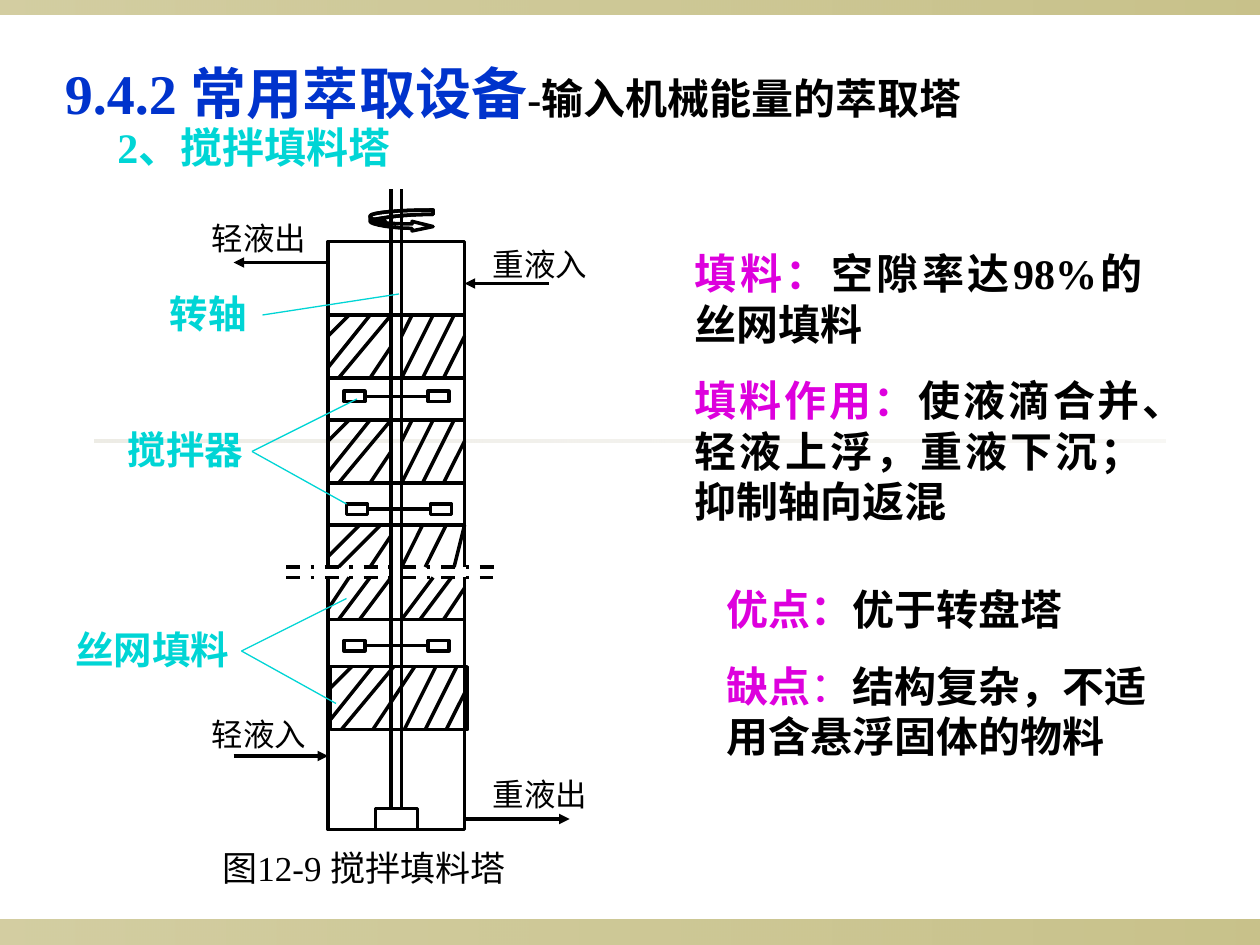
from pptx import Presentation
from pptx import util as u
from pptx.dml.color import RGBColor
from pptx.enum import dml, shapes, text
from pptx.oxml.ns import qn
from lxml import etree

Pt = u.Pt
color = RGBColor.from_string
BLACK, CYAN, MAGENTA, BLUE = "000000", "00D5D5", "DD00DD", "0033CC"

presentation = Presentation()
presentation.slide_width, presentation.slide_height = Pt(720), Pt(540)
slide = presentation.slides.add_slide(presentation.slide_layouts[6])


def add_line(x1, y1, x2, y2, line_color=BLACK, width=2, arrow=False):
    line = slide.shapes.add_connector(
        shapes.MSO_CONNECTOR.STRAIGHT, Pt(x1), Pt(y1), Pt(x2), Pt(y2))
    line.line.color.rgb = color(line_color)
    line.line.width = Pt(width)
    if arrow:
        etree.SubElement(line.line._get_or_add_ln(), qn("a:tailEnd"), type="triangle")
    etree.SubElement(line._element.spPr, qn("a:effectLst"))
    return line


def add_text(left, top, width, height, paragraphs, align=None):
    """Each paragraph is a list of (wording, size, color, bold) runs."""
    box = slide.shapes.add_textbox(Pt(left), Pt(top), Pt(width), Pt(height))
    frame = box.text_frame
    frame.word_wrap = True
    for index, runs in enumerate(paragraphs):
        paragraph = frame.add_paragraph() if index else frame.paragraphs[0]
        paragraph.alignment = align
        if index:
            paragraph.space_before = Pt(15)
        for wording, size, run_color, bold in runs:
            run = paragraph.add_run()
            run.text = wording
            run.font.name = "Times New Roman"
            run.font.size = Pt(size)
            run.font.bold = bold
            run.font.color.rgb = color(run_color)


# Background bands: left, top, width, height, color, opacity at both ends
for left, top, width, height, band_color, opacities in [
    (0, 525.6, 720, 14.4, "918415", (40, 50)),
    (0, 0, 720, 8.6, "918415", (40, 50)),
    (54, 251.2, 612, 1.6, "DCD9CC", (50, 20)),
]:
    band = slide.shapes.add_shape(
        shapes.MSO_SHAPE.RECTANGLE, Pt(left), Pt(top), Pt(width), Pt(height))
    band.shadow.inherit = False
    band.line.fill.background()
    band.fill.gradient()
    band.fill.gradient_angle = 0
    for stop, opacity in zip(band.fill.gradient_stops, opacities):
        stop.color.rgb = color(band_color)
    for position, element in enumerate(band._element.spPr.iter(qn("a:srgbClr"))):
        etree.SubElement(element, qn("a:alpha"), val=str(opacities[position] * 1000))

# Title, subtitle and explanations
add_text(30, 30, 546, 75, [[("9.4.2 常用萃取设备", 32, BLUE, True),
                            ("-输入机械能量的萃取塔", 24, BLACK, True)]])
add_text(60, 66, 186, 36, [[("2、搅拌填料塔", 24, CYAN, True)]])
add_text(390, 138, 270, 166, [
    [("填料：", 24, MAGENTA, True), ("空隙率达98%的丝网填料", 24, BLACK, True)],
    [("填料作用：", 24, MAGENTA, True),
     ("使液滴合并、轻液上浮，重液下沉；抑制轴向返混", 24, BLACK, True)],
], text.PP_ALIGN.JUSTIFY)
add_text(408, 330, 270, 109, [
    [("优点：", 24, MAGENTA, True), ("优于转盘塔", 24, BLACK, True)],
    [("缺点", 24, MAGENTA, True), ("：", 24, MAGENTA, False),
     ("结构复杂，不适用含悬浮固体的物料", 24, BLACK, True)],
])

# Column shell, packed beds, shaft base and stirrer paddles
wall_left, wall_right = 187.5, 265.5
column_width = wall_right - wall_left
stirrers = [(196.5, 223.5), (198, 288), (196.5, 366)]
boxes = [
    (wall_left, 138, column_width, 162),
    (wall_left, 354, column_width, 120),
    (wall_left, 180, column_width, 36),
    (wall_left, 240, column_width, 36),
    (189, 381, column_width, 36),
    (214.5, 462, 24, 12),
]
boxes += [(x + offset, y, 12, 6) for x, y in stirrers for offset in (0, 48)]
rectangles = []
for left, top, width, height in boxes:
    rectangle = slide.shapes.add_shape(
        shapes.MSO_SHAPE.RECTANGLE, Pt(left), Pt(top), Pt(width), Pt(height))
    rectangle.shadow.inherit = False
    rectangle.fill.background()
    rectangle.line.color.rgb = color(BLACK)
    rectangle.line.width = Pt(2)
    rectangles.append(rectangle)

# Stirrer arms join each pair of paddles
paddles = rectangles[-2 * len(stirrers):]
for left_paddle, right_paddle in zip(paddles[::2], paddles[1::2]):
    arm = add_line(0, 0, 1, 1)
    arm.begin_connect(left_paddle, 3)
    arm.end_connect(right_paddle, 1)

# Walls at the break, shaft and break lines
for x in (wall_left, wall_right):
    add_line(x, 294, x, 324)
    add_line(x, 330, x, 366)
for x in (223.5, 229.5):
    add_line(x, 108, x, 462)
for y, right in ((324, 283.5), (330, 282)):
    add_line(163.5, y, right, y).line.dash_style = dml.MSO_LINE.DASH_DOT

# Hatching, measured from the top left corner of each bed
common = [(12, 0, 0, 12), (24, 0, 0, 30), (36, 0, 6, 36),
          (60, 0, 42, 36), (72, 0, 54, 36), (78, 12, 66, 36)]
full_bed = common + [(36, 18, 24, 36), (48, 0, 42, 12)]
last_bed = common + [(48, 0, 24, 36)]
above_break = [(18, 0, 0, 18), (30, 0, 6, 24), (36, 6, 24, 24),
               (54, 0, 42, 24), (67.5, 0, 55.5, 24), (78, 0, 72, 24)]
below_break = [(12, 0, 0, 18), (24, 0, 6, 24), (36, 0, 18, 24),
               (60, 0, 42, 24), (70.5, 0, 52.5, 24), (78, 6, 66, 24)]
for left, top, hatching in [
    (wall_left, 180, full_bed), (wall_left, 240, full_bed),
    (wall_left, 300, above_break), (wall_left, 330, below_break),
    (189, 381, last_bed),
]:
    for x1, y1, x2, y2 in hatching:
        add_line(left + x1, top + y1, left + x2, top + y2)

# Rotation arrow: segments of one point are straight, of three are Bezier curves
tail_curve = [(227.5, 120), (211.5, 121.5), (211.5, 123.5)]
inner_curve = [(219.5, 124.5), (229.5, 122.5), (247.5, 122.5)]
contours = [
    [tail_curve, [(211.5, 126.5)], [(211.5, 128.5), (225.5, 130.5), (235.5, 130.5)],
     [(235.5, 132)], [(247.5, 129.5)], [(235.5, 126.5)], [(235.5, 128)],
     [(227, 128), (219, 127.5), (213, 126.5)], [(213, 125.5)], inner_curve],
    [tail_curve, [(211.5, 125), (214.5, 126), (220.5, 126.5)],
     [(213, 125.5)], inner_curve],
]
start = (247.5, 120)
builder = slide.shapes.build_freeform(Pt(start[0]), Pt(start[1]))
for number, contour in enumerate(contours):
    if number:
        builder.move_to(Pt(start[0]), Pt(start[1]))
    points = [start]
    for segment in contour:
        if len(segment) == 1:
            points += segment
            continue
        p0, (p1, p2, p3) = points[-1], segment
        for t in (step / 8 for step in range(1, 9)):
            s = 1 - t
            points.append(tuple(
                s**3 * a + 3 * s * s * t * b + 3 * s * t * t * c + t**3 * d
                for a, b, c, d in zip(p0, p1, p2, p3)))
    builder.add_line_segments([(Pt(x), Pt(y)) for x, y in points[1:]], close=True)
rotation_arrow = builder.convert_to_shape()
rotation_arrow.shadow.inherit = False
rotation_arrow.fill.background()
rotation_arrow.line.color.rgb = color(BLACK)
rotation_arrow.line.width = Pt(2)

# Liquid streams
for x1, x2, y in [(wall_right, 325.5, 468), (133.5, wall_left, 432),
                  (wall_left, 133.5, 150), (313.5, wall_right, 162)]:
    add_line(x1, y, x2, y, arrow=True)
for left, top, label in [(274.5, 439.5, "重液出"), (274.5, 136.5, "重液入"),
                         (114, 121.5, "轻液出"), (114, 405, "轻液入")]:
    add_text(left, top, 90, 29, [[(label, 18, BLACK, False)]])

# Part labels with their leader lines
for left, top, width, label, origin, targets in [
    (90, 162, 60, "转轴", (150, 180), [(228, 168)]),
    (66, 240, 90, "搅拌器", (144, 258), [(204, 228), (198, 288)]),
    (36, 354, 108, "丝网填料", (138, 372), [(198, 342), (192, 402)]),
]:
    add_text(left, top, width, 34, [[(label, 22, CYAN, True)]])
    for target in targets:
        add_line(*origin, *target, CYAN, 0.75)

# Caption
add_text(120, 480, 240, 32, [[("图12-9 搅拌填料塔", 20, BLACK, False)]])

presentation.save("out.pptx")
